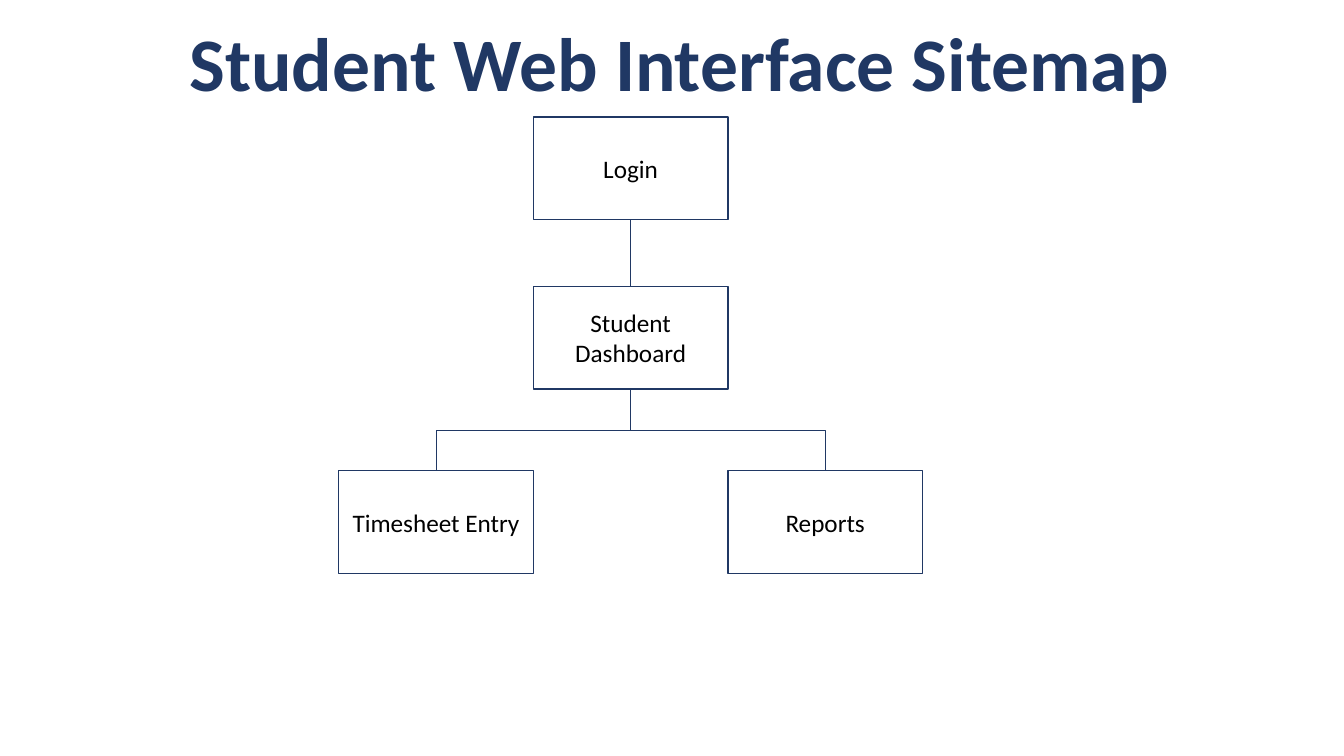
from lxml import etree
from pptx import Presentation
from pptx import util as u
from pptx.dml.color import RGBColor
from pptx.enum import shapes, text
from pptx.oxml.ns import qn

COLORS = {"navy": "203864", "white": "FFFFFF", "black": "000000"}
COLUMN_WIDTH = 1.93
COLUMN_START = 3.36
ROW_TOPS = [1.16, 2.84, 4.67]
BOX_HEIGHT = 1.02
TOP, BOTTOM = 0, 2


def color(name):
    return RGBColor.from_string(COLORS[name])


def write(frame, content, size=18, ink="black", bold=False, wrap=True):
    frame.word_wrap = wrap
    for index, line in enumerate(content.split("\n")):
        para = frame.paragraphs[0] if index == 0 else frame.add_paragraph()
        para.alignment = text.PP_ALIGN.CENTER
        span = para.add_run()
        span.text = line
        span.font.name = "Calibri"
        span.font.size = u.Pt(size)
        span.font.bold = bold
        span.font.color.rgb = color(ink)


class Sitemap:
    def __init__(self, page):
        self.page = page

    def title(self, content, left, top, width, height):
        box = self.page.shapes.add_textbox(*map(u.Inches, (left, top, width, height)))
        write(box.text_frame, content, size=54, ink="navy", bold=True, wrap=False)
        box.text_frame.auto_size = text.MSO_AUTO_SIZE.SHAPE_TO_FIT_TEXT

    def node(self, content, column, row):
        box = self.page.shapes.add_shape(
            shapes.MSO_SHAPE.FLOWCHART_PROCESS,
            u.Inches(COLUMN_START + column * COLUMN_WIDTH), u.Inches(ROW_TOPS[row]),
            u.Inches(COLUMN_WIDTH), u.Inches(BOX_HEIGHT))
        box.shadow.inherit = False
        box.fill.solid()
        box.fill.fore_color.rgb = color("white")
        box.line.color.rgb = color("navy")
        box.line.width = u.Pt(1)
        box.text_frame.vertical_anchor = text.MSO_ANCHOR.MIDDLE
        write(box.text_frame, content)
        return box

    def link(self, parent, child, kind=shapes.MSO_CONNECTOR.STRAIGHT):
        line = self.page.shapes.add_connector(kind, 0, 0, 0, 0)
        line.begin_connect(parent, BOTTOM)
        line.end_connect(child, TOP)
        line.line.color.rgb = color("navy")
        line.line.width = u.Pt(0.5)
        etree.SubElement(line._element.spPr, qn("a:effectLst"))
        return line

    def branch(self, parent, child):
        line = self.link(parent, child, shapes.MSO_CONNECTOR.ELBOW)
        to_right = child.left > parent.left
        center_x = line.left + line.width // 2
        center_y = line.top + line.height // 2
        line.width, line.height = line.height, line.width
        line.left = center_x - line.width // 2
        line.top = center_y - line.height // 2
        frame = line._element.spPr.find(qn("a:xfrm"))
        frame.set("rot", str((270 if to_right else 90) * 60000))
        frame.set("flipH", "1" if to_right else "0")
        frame.set("flipV", "0")


def main():
    deck = Presentation()
    deck.slide_width, deck.slide_height = u.Inches(13.33), u.Inches(7.5)
    sitemap = Sitemap(deck.slides.add_slide(deck.slide_layouts[6]))

    timesheet = sitemap.node("Timesheet Entry", 0, 2)
    dashboard = sitemap.node("Student\nDashboard", 1, 1)
    login = sitemap.node("Login", 1, 0)
    reports = sitemap.node("Reports", 2, 2)
    for child in (reports, timesheet):
        sitemap.branch(dashboard, child)
    sitemap.link(login, dashboard)
    sitemap.title("Student Web Interface Sitemap", 1.73, 0.11, 10.02, 1.01)

    deck.save("out.pptx")


if __name__ == "__main__":
    main()
